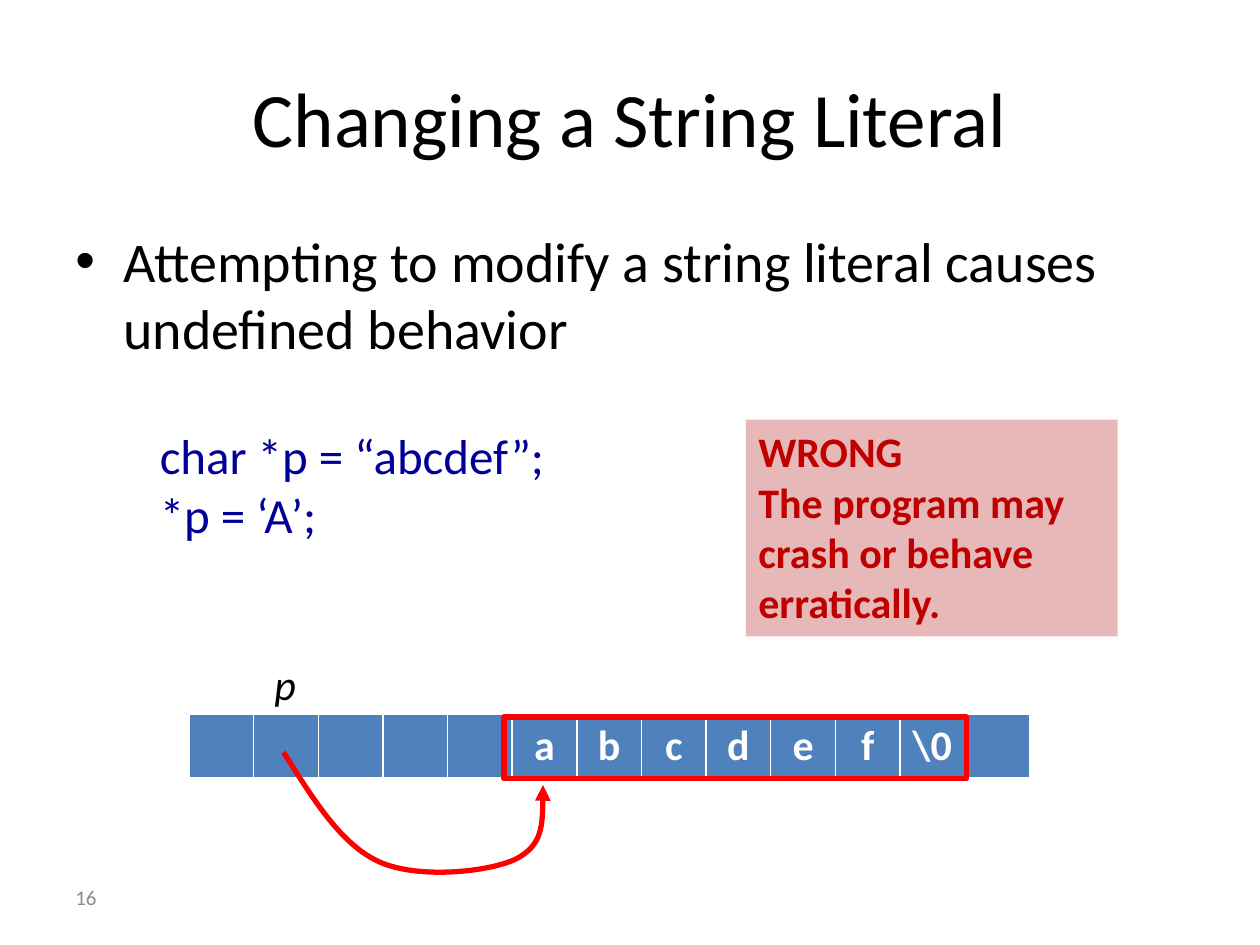
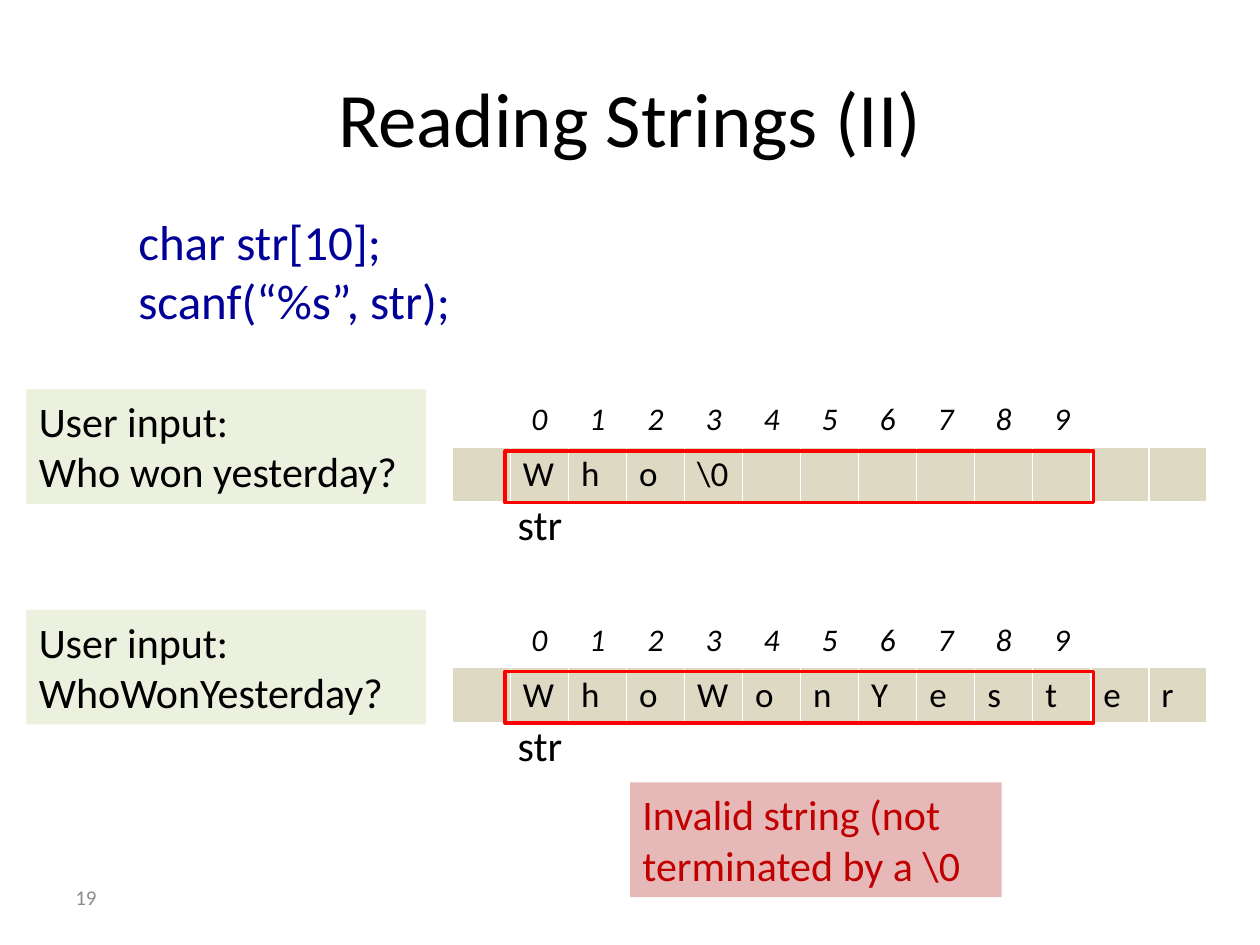
from dataclasses import dataclass
from typing import Optional

from lxml.etree import SubElement
from pptx import Presentation
from pptx.dml.color import RGBColor
from pptx.enum.shapes import MSO_SHAPE
from pptx.enum.text import MSO_ANCHOR, PP_ALIGN
from pptx.oxml.ns import qn
from pptx.shapes.base import BaseShape
from pptx.slide import Slide
from pptx.util import Inches, Pt

FONT = "Calibri"
COLORS = {
    "text": "000000",
    "number": "8C8C8C",
    "code": "000099",
    "warning": "C00000",
    "warning_fill": "E6B9B8",
    "input_fill": "EBF1DE",
    "memory": "4F81BD",
    "buffer": "DDD9C3",
    "highlight": "FF0000",
    "white": "FFFFFF",
}
CELL_COUNT = 13


@dataclass
class TextStyle:
    size: int
    color: str = "text"
    bold: bool = False
    italic: bool = False
    align: PP_ALIGN = PP_ALIGN.LEFT


@dataclass
class Box:
    left: float
    top: float
    width: float
    height: float

    def lengths(self) -> list:
        return [Inches(value) for value in (self.left, self.top, self.width, self.height)]


@dataclass
class TextBox:
    box: Box
    lines: list[str]
    style: TextStyle
    fill: Optional[str] = None
    anchor: MSO_ANCHOR = MSO_ANCHOR.TOP
    bullet: bool = False


@dataclass
class MemoryRow:
    values: list[str]
    style: TextStyle
    fill: Optional[str] = None


@dataclass
class InputExample:
    top: float
    typed: str
    stored: list[str]


TITLE = TextStyle(44, align=PP_ALIGN.CENTER)
NUMBER = TextStyle(12, "number")
BODY = TextStyle(32)
CODE = TextStyle(28, "code")
LABEL = TextStyle(24)
POINTER = TextStyle(24, italic=True)
WARNING = TextStyle(24, "warning")
STRONG_WARNING = TextStyle(24, "warning", bold=True)
MEMORY = TextStyle(24, "white", bold=True, align=PP_ALIGN.CENTER)
INDEX = TextStyle(18, italic=True, align=PP_ALIGN.CENTER)
BUFFER = TextStyle(20)


def color(name: str) -> RGBColor:
    return RGBColor.from_string(COLORS[name])


def style_paragraph(paragraph, style: TextStyle) -> None:
    paragraph.alignment = style.align
    font = paragraph.font
    font.name = FONT
    font.size = Pt(style.size)
    font.bold = style.bold
    font.italic = style.italic
    font.color.rgb = color(style.color)


def add_bullet(paragraph) -> None:
    properties = paragraph._p.get_or_add_pPr()
    properties.set("marL", str(Inches(0.38)))
    properties.set("indent", str(Inches(-0.38)))
    SubElement(properties, qn("a:buFont"), typeface="Arial")
    SubElement(properties, qn("a:buChar"), char="•")


def add_text(slide: Slide, item: TextBox) -> None:
    if item.fill:
        shape = slide.shapes.add_shape(MSO_SHAPE.RECTANGLE, *item.box.lengths())
        shape.shadow.inherit = False
        shape.fill.solid()
        shape.fill.fore_color.rgb = color(item.fill)
        shape.line.fill.background()
    else:
        shape = slide.shapes.add_textbox(*item.box.lengths())
    frame = shape.text_frame
    frame.word_wrap = True
    frame.vertical_anchor = item.anchor
    frame.text = "\n".join(item.lines)
    for paragraph in frame.paragraphs:
        if item.bullet:
            add_bullet(paragraph)
        style_paragraph(paragraph, item.style)


def add_memory(slide: Slide, box: Box, rows: list[MemoryRow]) -> None:
    table = slide.shapes.add_table(len(rows), CELL_COUNT, *box.lengths()).table
    table.first_row = False
    table.horz_banding = False
    for column in table.columns:
        column.width = Inches(box.width / CELL_COUNT)
    for row_index, row in enumerate(rows):
        for column_index, value in enumerate(row.values):
            cell = table.cell(row_index, column_index)
            if row.fill:
                cell.fill.solid()
                cell.fill.fore_color.rgb = color(row.fill)
            else:
                cell.fill.background()
            if value:
                cell.text = value
                style_paragraph(cell.text_frame.paragraphs[0], row.style)


def set_highlight_line(shape: BaseShape, width: float) -> None:
    shape.shadow.inherit = False
    shape.fill.background()
    shape.line.color.rgb = color("highlight")
    shape.line.width = Pt(width)


def add_outline(slide: Slide, box: Box, width: float) -> None:
    set_highlight_line(slide.shapes.add_shape(MSO_SHAPE.RECTANGLE, *box.lengths()), width)


def add_curved_arrow(slide: Slide, points: list[tuple[float, float]]) -> None:
    """Draw Bézier segments: a start, then three points for each segment."""
    start, *others = [(Inches(x), Inches(y)) for x, y in points]
    builder = slide.shapes.build_freeform(*start)
    builder.add_line_segments(others, close=False)
    arrow = builder.convert_to_shape()
    set_highlight_line(arrow, 3)
    # Merge each three straight segments into one curve
    segments = list(arrow._element.iter(qn("a:lnTo")))
    for first in range(0, len(segments), 3):
        curve = SubElement(segments[first].getparent(), qn("a:cubicBezTo"))
        for segment in segments[first:first + 3]:
            curve.append(segment[0])
            segment.getparent().remove(segment)
    SubElement(arrow.line._get_or_add_ln(), qn("a:tailEnd"), type="triangle")


def add_slide(presentation, title: str, number: int) -> Slide:
    slide = presentation.slides.add_slide(presentation.slide_layouts[6])
    middle = MSO_ANCHOR.MIDDLE
    add_text(slide, TextBox(Box(0.5, 0.3, 9, 1.25), [title], TITLE, anchor=middle))
    add_text(slide, TextBox(Box(0.5, 6.92, 2.33, 0.4), [str(number)], NUMBER, anchor=middle))
    return slide


def build_literal_slide(presentation) -> None:
    slide = add_slide(presentation, "Changing a String Literal", 16)
    texts = [
        TextBox(Box(0.5, 1.75, 9, 1.2),
                ["Attempting to modify a string literal causes undefined behavior"],
                BODY, bullet=True),
        TextBox(Box(1.17, 3.33, 3.67, 1.04), ["char *p = “abcdef”;", "*p = ‘A’;"], CODE),
        TextBox(Box(5.92, 3.33, 2.95, 1.72),
                ["WRONG", "The program may crash or behave erratically."],
                STRONG_WARNING, fill="warning_fill"),
        TextBox(Box(2.08, 5.18, 0.58, 0.5), ["p"], POINTER),
    ]
    for text in texts:
        add_text(slide, text)

    # Memory holding the pointer and the literal
    values = [""] * 5 + [*"abcdef", "\\0", ""]
    add_memory(slide, Box(1.5, 5.67, 6.67, 0.49), [MemoryRow(values, MEMORY, "memory")])
    add_outline(slide, Box(4, 5.69, 3.67, 0.49), 3)
    add_curved_arrow(slide, [
        (2.25, 5.97),
        (2.48, 6.33), (2.7, 6.7), (3.01, 6.84),
        (3.32, 6.98), (3.88, 6.92), (4.09, 6.82),
        (4.31, 6.71), (4.31, 6.47), (4.31, 6.23),
    ])


def add_input_example(slide: Slide, example: InputExample) -> None:
    top = example.top
    indexes = ["", *"0123456789", "", ""]
    add_memory(slide, Box(3.59, top + 0.04, 5.99, 0.84),
               [MemoryRow(indexes, INDEX), MemoryRow(example.stored, BUFFER, "buffer")])
    add_text(slide, TextBox(Box(0.21, top, 3.17, 0.91), ["User input:", example.typed],
                            LABEL, fill="input_fill"))
    add_text(slide, TextBox(Box(4.01, top + 0.82, 0.75, 0.5), ["str"], LABEL))
    add_outline(slide, Box(4.01, top + 0.49, 4.67, 0.41), 2)


def build_reading_slide(presentation) -> None:
    slide = add_slide(presentation, "Reading Strings (II)", 19)
    add_text(slide, TextBox(Box(1, 1.63, 3.33, 1.04),
                            ["char str[10];", "scanf(“%s”, str);"], CODE))
    # Typed text and what ends up in the buffer
    examples = [
        InputExample(3.09, "Who won yesterday?", ["", *"Who", "\\0"] + [""] * 8),
        InputExample(4.84, "WhoWonYesterday?", ["", *"WhoWonYester"]),
    ]
    for example in examples:
        add_input_example(slide, example)
    add_text(slide, TextBox(Box(5, 6.21, 2.95, 0.91),
                            ["Invalid string (not terminated by a \\0"],
                            WARNING, fill="warning_fill"))


def main() -> None:
    presentation = Presentation()
    presentation.slide_width = Inches(10)
    presentation.slide_height = Inches(7.5)
    build_literal_slide(presentation)
    build_reading_slide(presentation)
    presentation.save("out.pptx")


if __name__ == "__main__":
    main()
